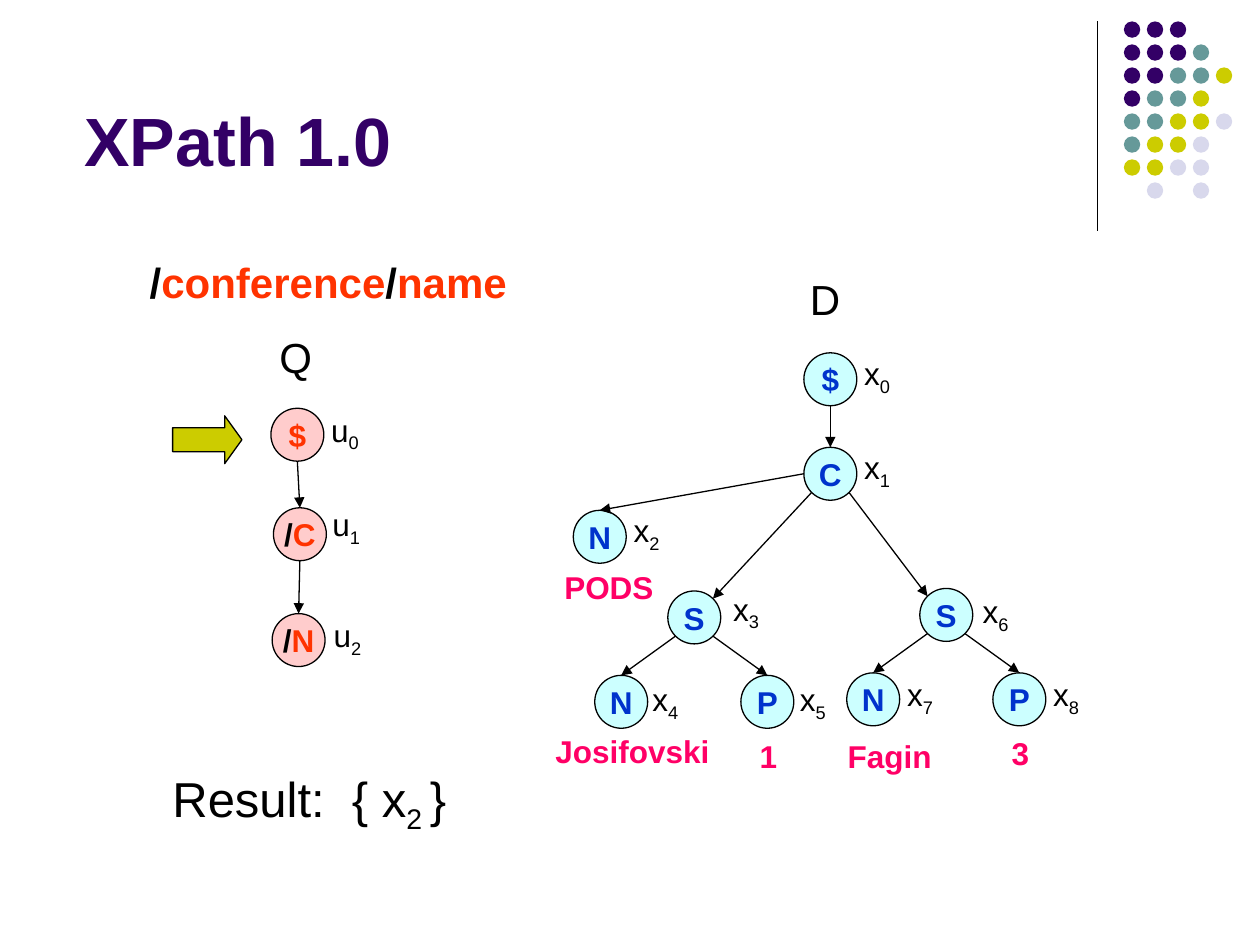
from dataclasses import dataclass
from math import cos, radians, sin

from lxml.etree import SubElement
from pptx import Presentation
from pptx.dml.color import RGBColor
from pptx.enum.shapes import MSO_CONNECTOR, MSO_SHAPE
from pptx.enum.text import MSO_ANCHOR, PP_ALIGN
from pptx.oxml.ns import qn
from pptx.util import Inches, Pt

COLORS = {
    "black": "000000", "purple": "330066", "teal": "669999", "olive": "CCCC00",
    "lilac": "D8D8EC", "cyan": "CCFFFF", "pink": "FFCCCC", "blue": "0033CC",
    "red": "FF3300", "magenta": "FF0066",
}
DIAMETER = 0.42
SITES = {"right": 0, "lower_right": 45, "bottom": 90, "lower_left": 135,
         "left": 180, "upper_left": 225, "top": 270, "upper_right": 315}


@dataclass(frozen=True)
class Run:
    text: str
    color: str = "black"
    bold: bool = False
    sub: bool = False


@dataclass(frozen=True)
class Node:
    x: float
    y: float
    runs: tuple[Run, ...]
    fill: str
    label: tuple[Run, ...]
    label_x: float
    label_y: float

    def site(self, name: str) -> tuple[float, float]:
        a, r = radians(SITES[name]), DIAMETER / 2
        return self.x + r + r * cos(a), self.y + r + r * sin(a)


@dataclass(frozen=True)
class Edge:
    start: str
    start_site: str
    end: str
    end_site: str


@dataclass(frozen=True)
class Label:
    x: float
    y: float
    w: float
    h: float
    size: int
    runs: tuple[Run, ...]


def rgb(name: str) -> RGBColor:
    return RGBColor.from_string(COLORS[name])


def write(tf, runs: tuple[Run, ...], size: int) -> None:
    p = tf.paragraphs[0]
    for run in runs:
        r = p.add_run()
        r.text = run.text
        for key, value in {"name": "Arial", "size": Pt(size), "bold": run.bold}.items():
            setattr(r.font, key, value)
        r.font.color.rgb = rgb(run.color)
        if run.sub:
            r._r.get_or_add_rPr().set("baseline", "-25000")


def add_shape(s, kind, x: float, y: float, w: float, h: float, fill: str, outlined: bool = True):
    sp = s.shapes.add_shape(kind, Inches(x), Inches(y), Inches(w), Inches(h))
    sp.shadow.inherit = False
    sp.fill.solid()
    sp.fill.fore_color.rgb = rgb(fill)
    if outlined:
        sp.line.color.rgb = rgb("black")
        sp.line.width = Pt(0.75)
    else:
        sp.line.fill.background()
    return sp


def add_line(s, start: tuple[float, float], end: tuple[float, float], arrow: bool = True) -> None:
    ends = [Inches(v) for v in (*start, *end)]
    cxn = s.shapes.add_connector(MSO_CONNECTOR.STRAIGHT, *ends)
    cxn.line.color.rgb = rgb("black")
    cxn.line.width = Pt(0.75)
    if arrow:
        SubElement(cxn.line._get_or_add_ln(), qn("a:tailEnd"), type="triangle")
    SubElement(cxn._element.spPr, qn("a:effectLst"))


def add_label(s, label: Label) -> None:
    box = [Inches(v) for v in (label.x, label.y, label.w, label.h)]
    tf = s.shapes.add_textbox(*box).text_frame
    tf.word_wrap = True
    write(tf, label.runs, label.size)


def add_node(s, node: Node) -> None:
    sp = add_shape(s, MSO_SHAPE.OVAL, node.x, node.y, DIAMETER, DIAMETER, node.fill)
    tf = sp.text_frame
    for key, value in {"word_wrap": False, "vertical_anchor": MSO_ANCHOR.MIDDLE}.items():
        setattr(tf, key, value)
    tf.paragraphs[0].alignment = PP_ALIGN.CENTER
    write(tf, node.runs, 18)
    add_label(s, Label(node.label_x, node.label_y, 0.58, 0.44, 18, node.label))


def add_dots(s) -> None:
    rows = ["PPP", "PPPT", "PPTTO", "PTTO", "TTOOL", "TOOL", "OOLL", " L L"]
    fills = {"P": "purple", "T": "teal", "O": "olive", "L": "lilac"}
    pitch = 0.73 / 4
    for i, row in enumerate(rows):
        for j, key in enumerate(row):
            if key in fills:
                add_shape(s, MSO_SHAPE.OVAL, 8.92 + j * pitch, 0.17 + i * pitch,
                          0.13, 0.13, fills[key], outlined=False)


def indexed(name: str) -> tuple[Run, ...]:
    return Run(name[0]), Run(name[1:], sub=True)


def data_node(name: str, text: str, x: float, y: float, lx: float, ly: float) -> Node:
    return Node(x, y, (Run(text, "blue", True),), "cyan", indexed(name), lx, ly)


def query_node(name: str, runs: tuple[Run, ...], x: float, y: float, lx: float, ly: float) -> Node:
    return Node(x, y, runs, "pink", indexed(name), lx, ly)


def value(text: str, x: float, y: float, w: float) -> Label:
    return Label(x, y, w, 0.4, 18, (Run(text, "magenta", True),))


SLASH = Run("/", bold=True)
DATA = [
    ("x0", "$", 6.38, 2.8, 6.76, 2.76), ("x1", "C", 6.38, 3.55, 6.76, 3.51),
    ("x2", "N", 4.55, 4.05, 4.93, 4.01), ("x3", "S", 5.3, 4.69, 5.72, 4.63),
    ("x4", "N", 4.72, 5.36, 5.08, 5.35), ("x5", "P", 5.88, 5.36, 6.25, 5.35),
    ("x6", "S", 7.3, 4.67, 7.7, 4.65), ("x7", "N", 6.72, 5.34, 7.1, 5.31),
    ("x8", "P", 7.88, 5.34, 8.26, 5.31),
]
QUERY = [
    ("u0", (Run("$", "red", True),), 2.15, 3.24, 2.53, 3.21),
    ("u1", (SLASH, Run("C", "red", True)), 2.17, 4.03, 2.54, 3.96),
    ("u2", (SLASH, Run("N", "red", True)), 2.16, 4.87, 2.55, 4.84),
]
EDGES = [
    Edge("x0", "bottom", "x1", "top"), Edge("x1", "left", "x2", "top"),
    Edge("x1", "lower_left", "x3", "upper_right"), Edge("x1", "lower_right", "x6", "upper_left"),
    Edge("x3", "lower_left", "x4", "top"), Edge("x3", "lower_right", "x5", "top"),
    Edge("x6", "lower_left", "x7", "top"), Edge("x6", "lower_right", "x8", "top"),
    Edge("u0", "bottom", "u1", "top"), Edge("u1", "bottom", "u2", "top"),
]
LABELS = [
    value("PODS", 4.38, 4.46, 0.92), value("Josifovski", 4.31, 5.76, 1.48),
    value("Fagin", 6.63, 5.8, 1.17), value("1", 5.93, 5.8, 0.6), value("3", 7.93, 5.78, 0.67),
    Label(1.09, 1.99, 8.43, 0.5, 24,
          (SLASH, Run("conference", "red", True), SLASH, Run("name", "red", True))),
    Label(6.33, 2.12, 1.37, 0.5, 24, (Run("D"),)),
    Label(2.12, 2.58, 1.37, 0.5, 24, (Run("Q"),)),
    Label(1.27, 6.05, 3.75, 0.63, 28, (Run("Result:  { x"), Run("2 ", sub=True), Run("}"))),
]


def main() -> None:
    prs = Presentation()
    prs.slide_width, prs.slide_height = Inches(10), Inches(7.5)
    s = prs.slides.add_slide(prs.slide_layouts[5])

    add_line(s, (8.71, 0.17), (8.71, 1.83), arrow=False)
    add_dots(s)

    title = s.shapes.title
    for key, length in {"left": 0.57, "top": 0.2, "width": 8.11, "height": 1.28}.items():
        setattr(title, key, Inches(length))
    title.text_frame.vertical_anchor = MSO_ANCHOR.BOTTOM
    title.text_frame.paragraphs[0].alignment = PP_ALIGN.LEFT
    write(title.text_frame, (Run("XPath 1.0", "purple", True),), 39)

    nodes = {row[0]: data_node(*row) for row in DATA}
    nodes |= {row[0]: query_node(*row) for row in QUERY}
    for node in nodes.values():
        add_node(s, node)
    for edge in EDGES:
        add_line(s, nodes[edge.start].site(edge.start_site), nodes[edge.end].site(edge.end_site))
    for label in LABELS:
        add_label(s, label)

    arrow = add_shape(s, MSO_SHAPE.RIGHT_ARROW, 1.37, 3.3, 0.55, 0.38, "olive")
    arrow.adjustments[1] = 0.36
    prs.save("out.pptx")


if __name__ == "__main__":
    main()
